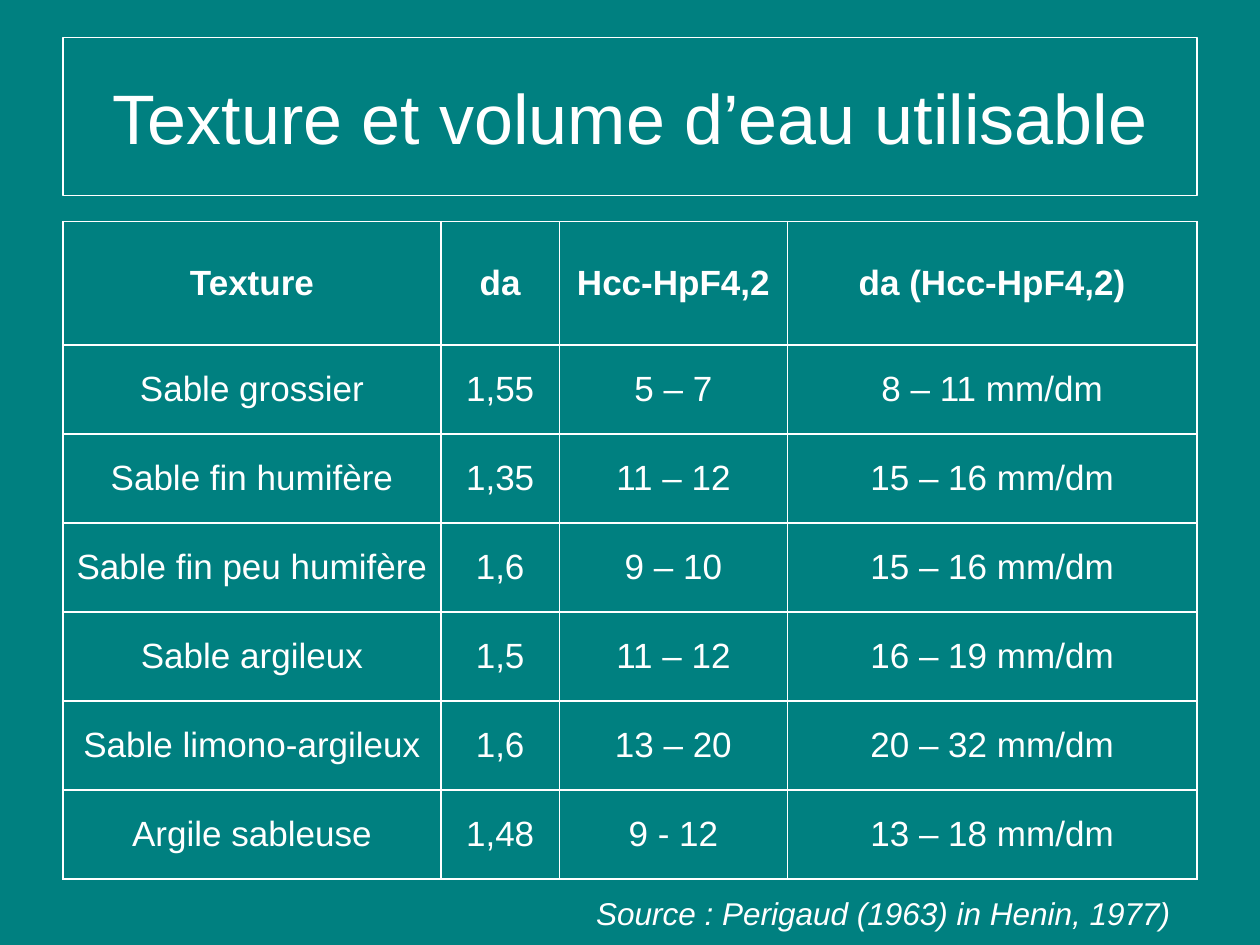
from dataclasses import dataclass

from lxml.etree import SubElement
from pptx import Presentation
from pptx.dml.color import RGBColor
from pptx.enum.shapes import MSO_SHAPE
from pptx.enum.text import MSO_ANCHOR, PP_ALIGN
from pptx.oxml.ns import qn
from pptx.util import Inches, Pt


@dataclass(frozen=True)
class Theme:
    font: str = "Arial"
    back: str = "008080"
    ink: str = "FFFFFF"
    title: int = 40
    body: int = 20
    note: int = 18
    frame: float = 0.75
    grid: float = 1


THEME = Theme()

COLS = (3, 0.94, 1.81, 3.25)
HEAD = 0.98
ROWS = (
    ("Texture", "da", "Hcc-HpF4,2", "da (Hcc-HpF4,2)"),
    ("Sable grossier", "1,55", "5 – 7", "8 – 11 mm/dm"),
    ("Sable fin humifère", "1,35", "11 – 12", "15 – 16 mm/dm"),
    ("Sable fin peu humifère", "1,6", "9 – 10", "15 – 16 mm/dm"),
    ("Sable argileux", "1,5", "11 – 12", "16 – 19 mm/dm"),
    ("Sable limono-argileux", "1,6", "13 – 20", "20 – 32 mm/dm"),
    ("Argile sableuse", "1,48", "9 - 12", "13 – 18 mm/dm"),
)


def write(frame, text, size, bold=False, italic=False):
    frame.text = text
    for para in frame.paragraphs:
        para.alignment = PP_ALIGN.CENTER
        for run in para.runs:
            font = run.font
            font.name, font.size = THEME.font, Pt(size)
            font.bold, font.italic = bold, italic
            font.color.rgb = RGBColor.from_string(THEME.ink)


def outline(cell):
    """Draw the four borders of a table cell."""
    props = cell._tc.get_or_add_tcPr()
    for side in ("lnL", "lnR", "lnT", "lnB"):
        line = SubElement(props, qn(f"a:{side}"), w=str(Pt(THEME.grid)))
        fill = SubElement(line, qn("a:solidFill"))
        SubElement(fill, qn("a:srgbClr"), val=THEME.ink)


def add_title(slide, box):
    shape = slide.shapes.add_shape(MSO_SHAPE.RECTANGLE, *map(Inches, box))
    shape.shadow.inherit = False
    shape.fill.background()
    shape.line.color.rgb = RGBColor.from_string(THEME.ink)
    shape.line.width = Pt(THEME.frame)
    frame = shape.text_frame
    frame.word_wrap = True
    frame.vertical_anchor = MSO_ANCHOR.MIDDLE
    write(frame, "Texture et volume d’eau utilisable", THEME.title)


def add_grid(slide, box):
    table = slide.shapes.add_table(len(ROWS), len(COLS), *map(Inches, box)).table
    table.first_row = table.horz_banding = False
    for col, width in zip(table.columns, COLS):
        col.width = Inches(width)
    step = (box[3] - HEAD) / (len(ROWS) - 1)
    for i, (row, texts) in enumerate(zip(table.rows, ROWS)):
        row.height = Inches(step if i else HEAD)
        for cell, text in zip(row.cells, texts):
            outline(cell)
            cell.fill.background()
            cell.vertical_anchor = MSO_ANCHOR.MIDDLE
            write(cell.text_frame, text, THEME.body, bold=i == 0)


def add_source(slide, box):
    frame = slide.shapes.add_textbox(*map(Inches, box)).text_frame
    frame.word_wrap = True
    write(frame, "Source : Perigaud (1963) in Henin, 1977)", THEME.note, italic=True)


def main():
    deck = Presentation()
    deck.slide_width, deck.slide_height = Inches(10), Inches(7.5)
    slide = deck.slides.add_slide(deck.slide_layouts[6])
    fill = slide.background.fill
    fill.solid()
    fill.fore_color.rgb = RGBColor.from_string(THEME.back)
    add_title(slide, (0.5, 0.3, 9, 1.25))
    add_source(slide, (4.37, 7.05, 5.28, 0.4))
    add_grid(slide, (0.5, 1.76, 9, 5.22))
    deck.save("out.pptx")


if __name__ == "__main__":
    main()
